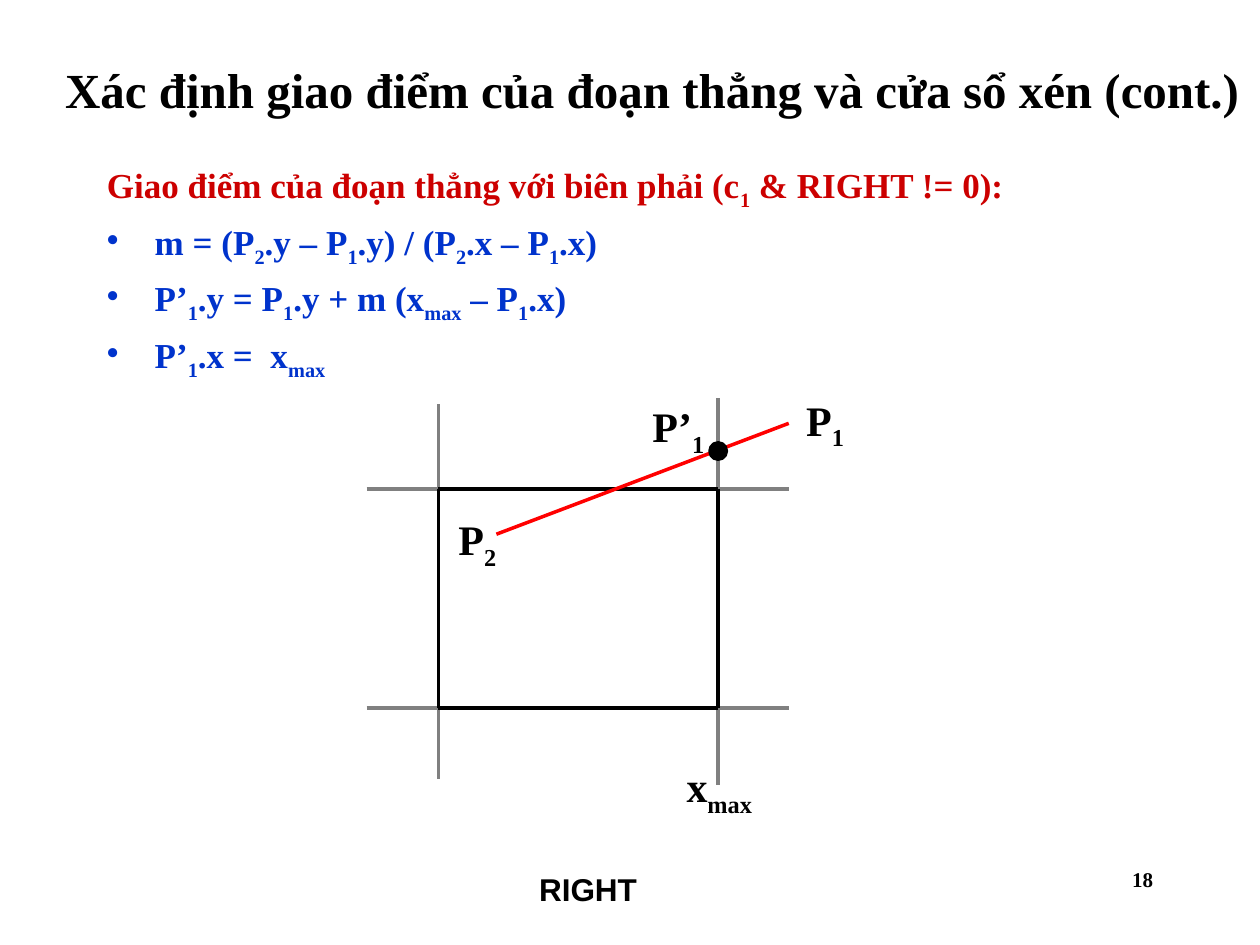
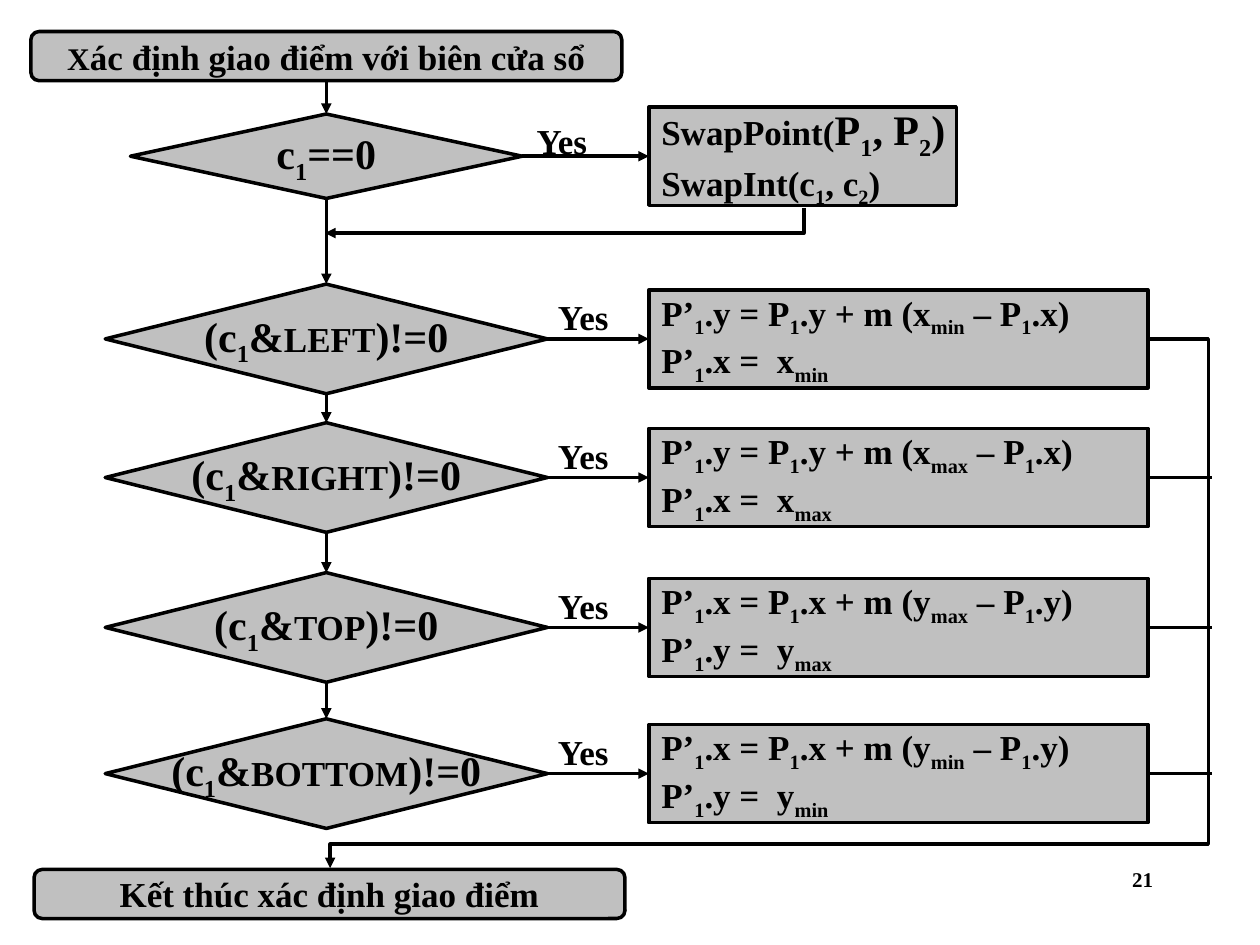
from lxml.etree import SubElement as Sub
from pptx import Presentation
from pptx.dml.color import RGBColor as Rgb
from pptx.enum.shapes import MSO_CONNECTOR as Conn, MSO_SHAPE as Kind
from pptx.enum.text import MSO_ANCHOR as Anchor, PP_ALIGN as Align
from pptx.oxml.ns import qn
from pptx.util import Inches, Pt

INK = {"black": "000000", "red": "CC0000", "blue": "0033CC",
       "gray": "808080", "fill": "C0C0C0", "cut": "FF0000"}
FONT = "Times New Roman"
TOP, LEFT, BOTTOM, RIGHT = range(4)


def solve(known, other, limit):
    """Two formulas for the crossing with one border; |..| marks a subscript."""
    return [f"P’|1|.{other} = P|1|.{other} + m ({known}|{limit}| – P|1|.{known})",
            f"P’|1|.{known} =  {known}|{limit}|"]


# Clipping slide
TITLE = "Xác định giao điểm của đoạn thẳng và cửa sổ xén (cont.)"
LEAD = "Giao điểm của đoạn thẳng với biên phải (c|1| & RIGHT != 0):"
STEPS = ["m = (P|2|.y – P|1|.y) / (P|2|.x – P|1|.x)"] + solve("x", "y", "max")
WIN = {"x": (3.48, 5.7), "y": (3.88, 5.62)}
GRID = {"x": (2.91, 6.26), "y": ((3.21, 6.18), (3.16, 6.23))}
SEG = (3.94, 4.24, 6.26, 3.36)
HIT = (5.7, 3.58)
MARKS = [("P|2|", 3.54, 4.03), ("P’|1|", 5.08, 3.13),
         ("P|1|", 6.3, 3.08), ("x|max|", 5.35, 5.99)]

# Flowchart slide
START = [("X", 18), ("ác định giao điểm với biên cửa sổ", 20)]
END = "Kết thúc xác định giao điểm"
SWAP = [[("SwapPoint(", 20), ("P|1|, P|2|)", 24)], "SwapInt(c|1|, c|2|)"]
TESTS = [("LEFT", 2.69, solve("x", "y", "min")),
         ("RIGHT", 3.79, solve("x", "y", "max")),
         ("TOP", 4.98, solve("y", "x", "max")),
         ("BOTTOM", 6.14, solve("y", "x", "min"))]
AXIS, BOX_X, RAIL = 2.59, 5.15, 9.59


def color(name):
    return Rgb.from_string(INK[name])


def write(frame, paras, size=20, ink="black", font=FONT, align=Align.LEFT,
          gap=0, wrap=True):
    """Each paragraph is a marked string or a list of (string, size)."""
    frame.word_wrap = wrap
    for i, parts in enumerate(paras):
        para = frame.paragraphs[0] if i == 0 else frame.add_paragraph()
        para.alignment = align
        if i:
            para.space_before = Pt(gap)
        if isinstance(parts, str):
            parts = [(parts, size)]
        for text, pts in parts:
            for j, bit in enumerate(text.split("|")):
                if not bit:
                    continue
                run = para.add_run()
                run.text = bit
                face = run.font
                face.name, face.size, face.bold = font, Pt(pts), True
                face.color.rgb = color(ink)
                if j % 2:
                    face._element.set("baseline", "-25000")


def label(slide, paras, x, y, w, h, **look):
    box = slide.shapes.add_textbox(*map(Inches, (x, y, w, h)))
    write(box.text_frame, paras, **look)
    return box.text_frame


def block(slide, kind, x, y, w, h, paras=(), fill="fill", **look):
    item = slide.shapes.add_shape(kind, *map(Inches, (x, y, w, h)))
    item.shadow.inherit = False
    item.fill.solid()
    item.fill.fore_color.rgb = color(fill)
    item.line.color.rgb = color("black")
    item.line.width = Pt(2)
    item.text_frame.vertical_anchor = Anchor.MIDDLE
    write(item.text_frame, paras, wrap=False, **look)
    return item


def line(slide, x1, y1, x2, y2, ink="black", arrow=False, kind=Conn.STRAIGHT):
    item = slide.shapes.add_connector(kind, *map(Inches, (x1, y1, x2, y2)))
    item.line.color.rgb = color(ink)
    item.line.width = Pt(2)
    if arrow:
        Sub(item.line._get_or_add_ln(), qn("a:tailEnd"), type="triangle")
    Sub(item._element.spPr, qn("a:effectLst"))
    return item


def join(slide, a, side, b, goal):
    item = line(slide, 0, 0, 1, 1, arrow=True)
    item.begin_connect(a, side)
    item.end_connect(b, goal)


def bend(item, preset, *cuts):
    """Change the elbow preset and its adjust values."""
    geom = item._element.spPr.find(qn("a:prstGeom"))
    geom.set("prst", preset)
    for old in list(geom):
        geom.remove(old)
    guides = Sub(geom, qn("a:avLst"))
    for n, cut in enumerate(cuts, 1):
        Sub(guides, qn("a:gd"), name=f"adj{n}", fmla=f"val {round(cut * 100000)}")


def number(slide, value):
    label(slide, [value], 7.17, 6.83, 2.08, 0.5, size=12, align=Align.RIGHT)


def clip_slide(slide):
    head = label(slide, [TITLE], 0.35, 0.33, 9.65, 0.75, size=28, align=Align.CENTER)
    head.vertical_anchor = Anchor.MIDDLE

    body = label(slide, [LEAD] + STEPS, 0.75, 1.25, 8.5, 1.99, ink="blue", gap=5)
    for i, para in enumerate(body.paragraphs):
        props = para._p.get_or_add_pPr()
        props.set("marL", str(Inches(0.38)))
        props.set("indent", str(-Inches(0.38)))
        if i:
            Sub(props, qn("a:buChar"), char="•")
    for run in body.paragraphs[0].runs:
        run.font.color.rgb = color("red")

    (x1, x2), (y1, y2) = WIN["x"], WIN["y"]
    for x, (top, low) in zip(WIN["x"], GRID["y"]):
        line(slide, x, top, x, low, "gray")
    for y in WIN["y"]:
        line(slide, GRID["x"][0], y, GRID["x"][1], y, "gray")
    for x in WIN["x"]:
        line(slide, x, y1, x, y2)
    for y in WIN["y"]:
        line(slide, x1, y, x2, y)
    line(slide, *SEG, "cut")
    dot = 0.13
    block(slide, Kind.OVAL, HIT[0] - dot / 2, HIT[1] - dot / 2, dot, dot, fill="black")
    for text, x, y in MARKS:
        label(slide, [text], x, y, 0.79, 0.56, size=24)
    label(slide, ["RIGHT"], 4.18, 6.86, 0.98, 0.4, size=18, font="Arial", wrap=False)
    number(slide, "18")


def flow_slide(slide):
    def pill(x, y, text):
        return block(slide, Kind.ROUNDED_RECTANGLE, x, y, 4.69, 0.39, [text],
                     align=Align.CENTER)

    def test(mid, w, h, text):
        return block(slide, Kind.DIAMOND, AXIS - w / 2, mid - h / 2, w, h, [text],
                     size=24, align=Align.CENTER)

    def act(mid, w, paras):
        return block(slide, Kind.RECTANGLE, BOX_X, mid - 0.39, w, 0.78, paras)

    def yes(x, y):
        label(slide, ["Yes"], x, y, 0.98, 0.44)

    start = pill(AXIS - 4.69 / 2, 0.25, START)
    pill(0.27, 6.9, END)
    last = test(1.24, 3.11, 0.67, "c|1|==0")
    join(slide, start, BOTTOM, last, TOP)
    join(slide, last, RIGHT, act(1.24, 2.44, SWAP), LEFT)
    yes(4.16, 0.9)

    for name, mid, paras in TESTS:
        ask = test(mid, 3.51, 0.87, [("(c|1|&", 24), (name, 20), (")!=0", 24)])
        do = act(mid, 3.96, paras)
        join(slide, last, BOTTOM, ask, TOP)
        join(slide, ask, RIGHT, do, LEFT)
        yes(4.33, mid - 0.39)
        if name != "LEFT":
            out = line(slide, 9.11, mid, 9.62, mid)
            out.begin_connect(do, RIGHT)
        last = ask

    # The swap path drops, then runs left: a quarter turn of the preset
    back = line(slide, 4.38, -0.15, 4.58, 3.65, arrow=True, kind=Conn.ELBOW)
    bend(back, "bentConnector2")
    back._element.spPr.find(qn("a:xfrm")).set("rot", str(90 * 60000))

    x, y, goal, low = 9.11, TESTS[0][1], 2.62, 6.89
    done = line(slide, x, y, goal, low, arrow=True, kind=Conn.ELBOW)
    bend(done, "bentConnector4", (x - RAIL) / (x - goal), (6.7 - y) / (low - y))
    number(slide, "21")


def main():
    deck = Presentation()
    deck.slide_width, deck.slide_height = Inches(10), Inches(7.5)
    for draw in (clip_slide, flow_slide):
        draw(deck.slides.add_slide(deck.slide_layouts[6]))
    deck.save("out.pptx")


if __name__ == "__main__":
    main()
